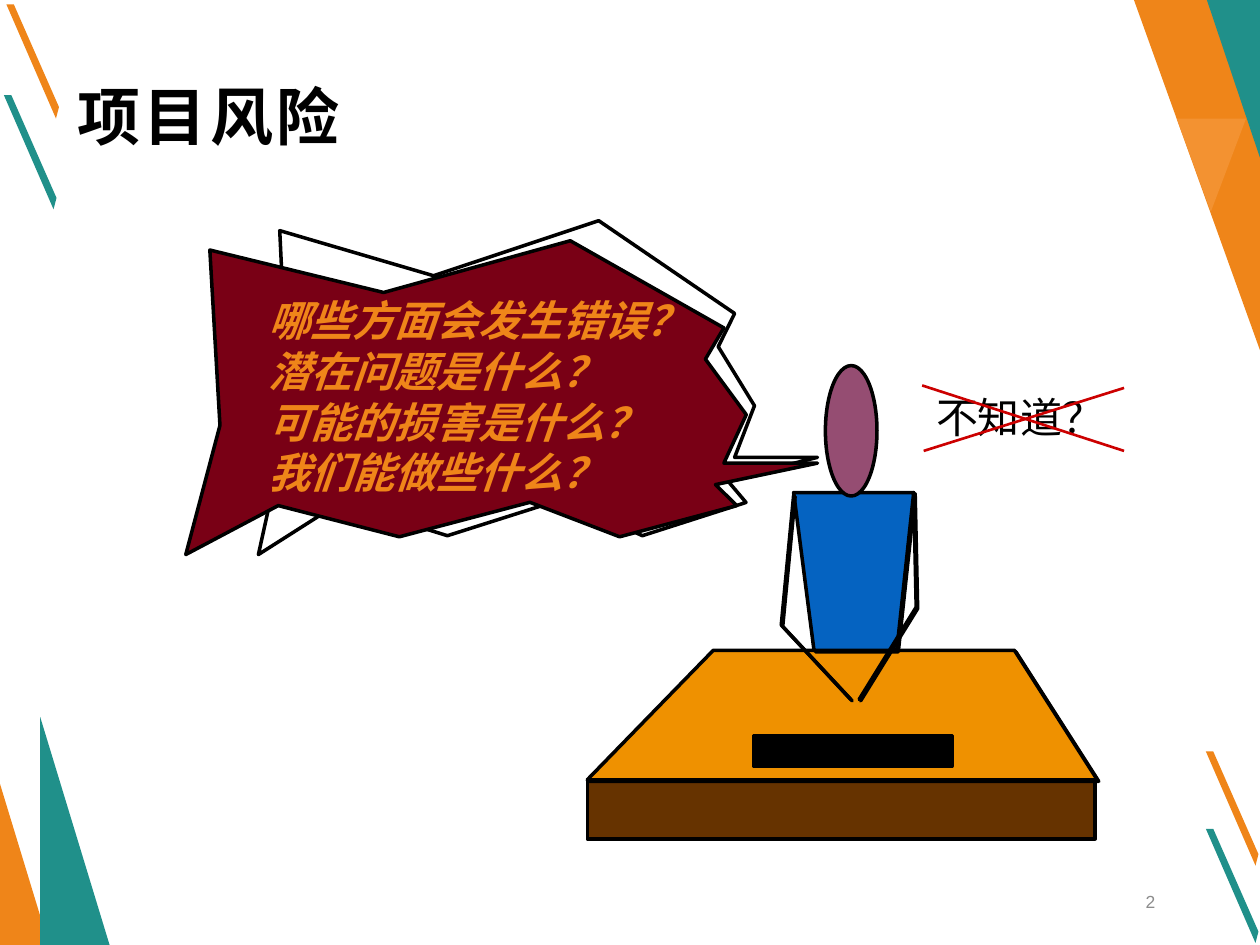
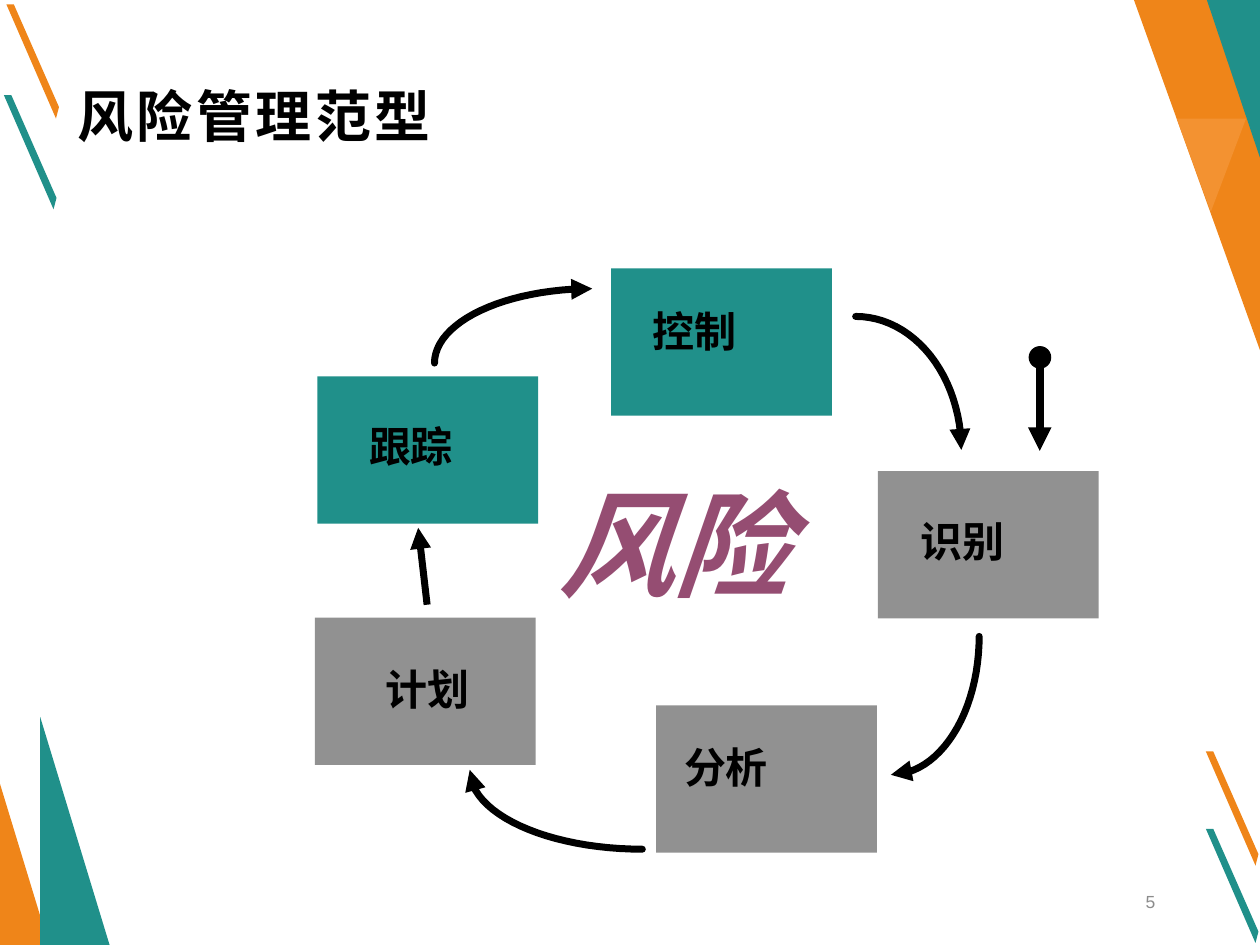
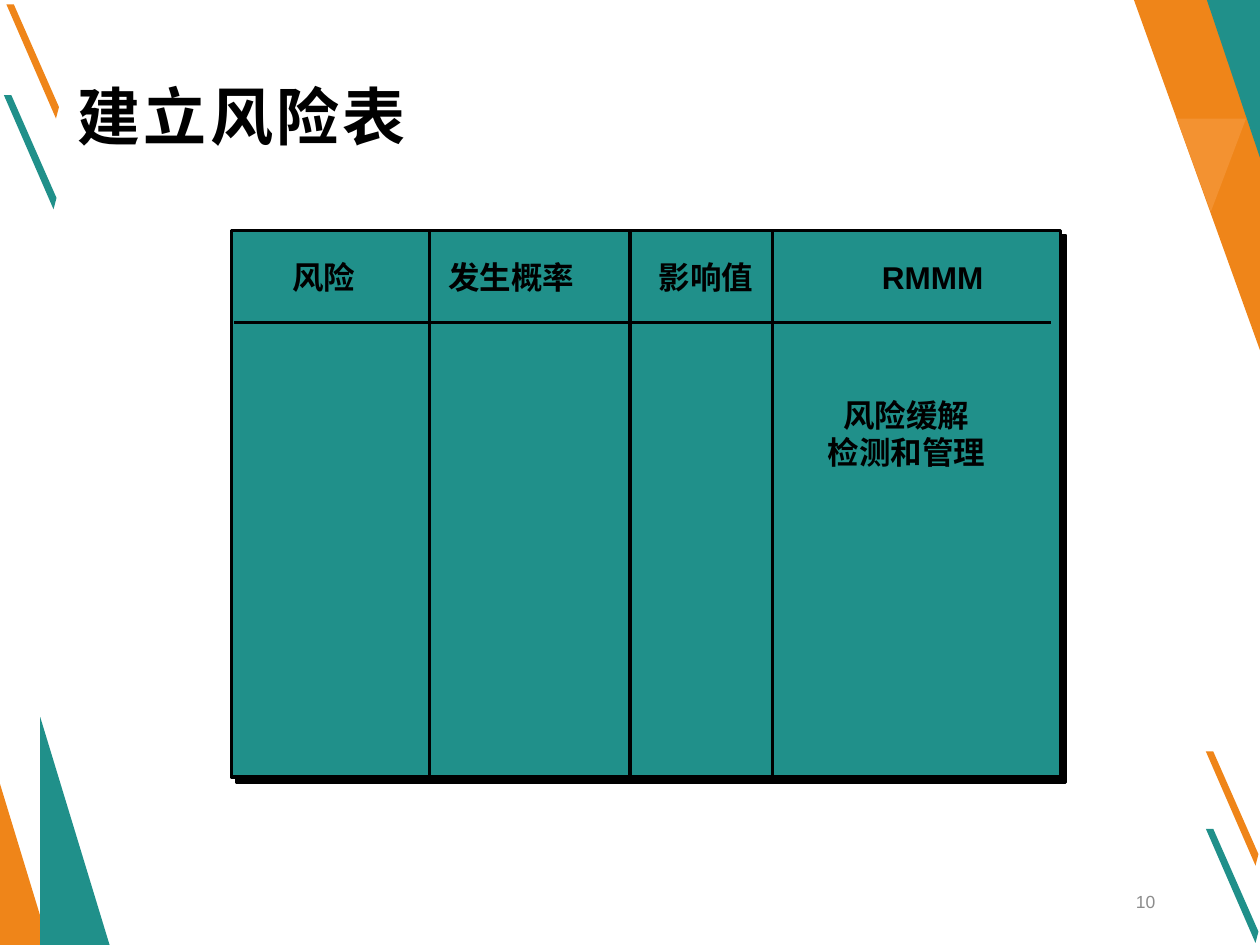
from itertools import chain
from math import cos, pi, sin

from lxml.etree import SubElement
from pptx import Presentation
from pptx.dml.color import RGBColor
from pptx.enum.shapes import MSO_CONNECTOR, MSO_SHAPE
from pptx.enum.text import MSO_ANCHOR, PP_ALIGN
from pptx.oxml.ns import qn
from pptx.util import Cm, Pt

HUES = {
    "orange": "EF8519", "teal": "20908A", "light": "F39231", "black": "000000",
    "wine": "790015", "brown": "663300", "amber": "EF9100", "blue": "0563C1",
    "plum": "954D72", "red": "CC0000", "gray": "919191", "pale": "8C8C8C",
}


def draw(slide, kind, spots, fill=None, line=None, width=2, head=False):
    """Draw a line, an open or closed outline, or a preset (corner, size)."""
    shapes = slide.shapes
    if kind in ("open", "closed"):
        first, *rest = [(Cm(x), Cm(y)) for x, y in spots]
        path = shapes.build_freeform(*first)
        path.add_line_segments(rest, close=kind == "closed")
        shape = path.convert_to_shape()
    else:
        flat = [Cm(v) for v in chain(*spots)]
        if kind == "line":
            shape = shapes.add_connector(MSO_CONNECTOR.STRAIGHT, *flat)
        else:
            shape = shapes.add_shape(kind, *flat)
    if fill:
        shape.fill.solid()
        shape.fill.fore_color.rgb = RGBColor.from_string(HUES[fill])
    elif kind != "line":
        shape.fill.background()
    if line:
        shape.line.color.rgb = RGBColor.from_string(HUES[line])
        shape.line.width = Pt(width)
    else:
        shape.line.fill.background()
    props = shape.element.spPr
    edge = props.find(qn("a:ln"))
    if kind == "open":
        edge.set("cap", "rnd")
    if head:
        SubElement(edge, qn("a:tailEnd"), type="triangle")
    SubElement(props, qn("a:effectLst"))
    return shape


def note(slide, text, x, y, w, h, size, hue="black", bold=True, slant=False,
         align=PP_ALIGN.LEFT, wrap=False, space=1.0):
    box = slide.shapes.add_textbox(Cm(x), Cm(y), Cm(w), Cm(h))
    frame = box.text_frame
    frame.word_wrap = wrap
    frame.text = text
    for para in frame.paragraphs:
        para.alignment = align
        para.line_spacing = space
        para.font.name = "Arial"
        para.font.size = Pt(size)
        para.font.bold = bold
        para.font.italic = slant
        para.font.color.rgb = RGBColor.from_string(HUES[hue])
    return frame


deck = Presentation()
deck.slide_width, deck.slide_height = Cm(25.4), Cm(19.05)
plan = deck.slide_layouts[5]
head = plan.placeholders[0]
head.left, head.top = Cm(1.3), Cm(1.12)
head.width, head.height = Cm(22.8), Cm(2.39)

# Titles and page numbers
pages = []
for title, size, page in (("项目风险", 36, "2"), ("风险管理范型", 32, "5"),
                          ("建立风险表", 36, "10")):
    slide = deck.slides.add_slide(plan)
    pages.append(slide)
    slide.shapes.title.text = title
    para = slide.shapes.title.text_frame.paragraphs[0]
    para.alignment = PP_ALIGN.LEFT
    para.font.name = "Noto Sans CJK SC"
    para.font.size = Pt(size)
    para.font.bold = True
    para.font.color.rgb = RGBColor.from_string(HUES["black"])
    base = para._p.pPr.find(qn("a:defRPr"))
    base.set("spc", "200")
    SubElement(base, qn("a:ea"), typeface="Noto Sans CJK SC")
    frame = note(slide, page, 17.93, 17.63, 5.61, 0.89, 10, "pale", False,
                 align=PP_ALIGN.RIGHT, wrap=True)
    frame.vertical_anchor = MSO_ANCHOR.BOTTOM
risk, cycle, table = pages

# Corner art, moved to the shared layout
art = []
for x, y, hue in ((24.31, 15.15, "orange"), (0.08, 1.92, "teal"),
                  (0.13, 0.09, "orange"), (24.31, 16.71, "teal")):
    slash = [(x + dx, y + dy)
             for dx, dy in ((0, 0), (0.15, 0), (1.06, 2.07), (1, 2.3))]
    art.append(draw(risk, "closed", slash, hue))
for hue, spots in (
    ("orange", ((22.86, 0), (25.4, 0), (25.4, 7.06))),
    ("teal", ((24.33, 0), (25.4, 0), (25.4, 3.18))),
    ("light", ((25.12, 2.39), (24.41, 4.27), (23.72, 2.39))),
):
    art.append(draw(risk, "closed", spots, hue))
for hue, spots in (("orange", ((0, 15.8), (0.99, 3.25))),
                   ("teal", ((0.81, 14.45), (1.4, 4.6)))):
    wedge = draw(risk, MSO_SHAPE.ISOSCELES_TRIANGLE, spots, hue)
    wedge.adjustments[0] = 0
    art.append(wedge)
for n, shape in enumerate(art):
    shape.element.nvSpPr.cNvPr.id = 100 + n
    plan.shapes.element.insert(2 + n, shape.element)

# Slide 1: speech burst, the front one stretched from the back one
burst = [
    (16.48, 9.22), (14.66, 9.68), (15.04, 10.13), (12.95, 10.8),
    (11.35, 10.06), (9.02, 10.8), (6.86, 10.13), (5.21, 11.18),
    (5.82, 8.41), (5.64, 4.65), (8.74, 5.56), (12.07, 4.45),
    (14.81, 6.32), (14.48, 6.99), (15.21, 8.18), (14.81, 9.22),
]
front = [(16.48 - (16.48 - x) * 1.13, 11.18 - (11.18 - y) * 0.94)
         for x, y in burst]
draw(risk, "closed", burst, line="black")
draw(risk, "closed", front, "wine", "black")
for n, text in enumerate(("哪些方面会发生错误？", "潜在问题是什么？",
                          "可能的损害是什么？", "我们能做些什么？")):
    note(risk, text, 5.16, 5.82 + 1.02 * n, 0.85 * len(text) + 0.5, 1.27,
         24, "orange", slant=True)

# Slide 1: speaker at the desk, each outline doubled
draw(risk, MSO_SHAPE.RECTANGLE, ((11.84, 15.72), (10.24, 1.19)),
     "brown", "black")
for kind, hue, spots in (
    ("closed", "amber",
     ((11.84, 15.72), (14.38, 13.11), (20.45, 13.11), (22.12, 15.72))),
    ("closed", "blue",
     ((16.41, 13.11), (16, 9.93), (18.42, 9.93), (18.08, 13.11))),
    ("open", None, ((16, 9.98), (15.75, 12.6), (17.15, 14.1))),
    ("open", None, ((18.42, 9.93), (18.47, 12.24), (17.32, 14.1))),
):
    draw(risk, kind, [(x + 0.03, y + 0.03) for x, y in spots], line="black")
    draw(risk, kind, spots, hue, "black")
draw(risk, MSO_SHAPE.OVAL, ((16.64, 7.37), (1.04, 2.63)), "plum", "black")
draw(risk, MSO_SHAPE.RECTANGLE, ((15.19, 14.83), (4.01, 0.61)),
     "black", "black")

# Slide 1: crossed-out answer
note(risk, "不知道？", 18.62, 7.77, 3.89, 1.27, 24, bold=False)
for spots in (((18.59, 7.77), (22.66, 9.09)), ((18.62, 9.09), (22.66, 7.82))):
    draw(risk, "line", spots, line="red", width=1.5)

# Slide 2: steps with their labels
note(cycle, "风险", 11, 9.73, 6.55, 2.79, 66, "plum", slant=True, wrap=True,
     space=0.9)
for text, hue, x, y, dx, dy in (
    ("识别", "gray", 17.7, 9.5, 0.61, 0.89),
    ("控制", "teal", 12.32, 5.41, 0.58, 0.74),
    ("跟踪", "teal", 6.4, 7.59, 0.79, 0.87),
    ("计划", "gray", 6.35, 12.45, 1.17, 0.91),
    ("分析", "gray", 13.23, 14.22, 0.31, 0.72),
):
    draw(cycle, MSO_SHAPE.RECTANGLE, ((x, y), (4.45, 2.97)), hue)
    note(cycle, text, x + dx, y + dy, 2.21, 1.17, 24, space=0.9)

# Slide 2: quarter-ellipse arrows, leaving level or upright
turns = [n * pi / 48 for n in range(25)]
for level, x, y, w, h in (
    (True, 17.25, 6.38, 2.13, 2.69), (False, 19.74, 12.83, -1.78, 2.79),
    (True, 12.95, 17.12, -3.48, -1.6), (False, 8.76, 7.32, 3.18, -1.5),
):
    if level:
        arc = [(x + w * sin(t), y + h * (1 - cos(t))) for t in turns]
    else:
        arc = [(x + w * (1 - cos(t)), y + h * sin(t)) for t in turns]
    draw(cycle, "open", arc, line="black", width=4, head=True)
for width, spots in ((4, ((8.61, 12.19), (8.43, 10.64))),
                     (4.5, ((20.96, 7.19), (20.96, 9.09)))):
    draw(cycle, "line", spots, line="black", width=width, head=True)
draw(cycle, MSO_SHAPE.OVAL, ((20.75, 6.99), (0.43, 0.43)), "black", "black",
     0.75)

# Slide 3: panel with a hard shadow, and its rules
panel = draw(table, MSO_SHAPE.RECTANGLE, ((4.67, 4.65), (16.71, 11.02)),
             "teal", "black")
shade = SubElement(panel.element.spPr.find(qn("a:effectLst")),
                   qn("a:outerShdw"), blurRad="0", dist=str(Pt(4.2)),
                   dir="2700000", algn="ctr", rotWithShape="0")
SubElement(shade, qn("a:srgbClr"), val=HUES["black"])
for x in (8.66, 12.7, 15.57):
    draw(table, "line", ((x, 4.67), (x, 15.67)), line="black")
draw(table, "line", ((4.72, 6.5), (21.18, 6.5)), line="black")

# Slide 3: column heads and the note
for text, x, w in (("风险", 5.64, 1.93), ("发生概率", 8.79, 3.05),
                   ("影响值", 13.03, 2.41), ("RMMM", 17.53, 2.8)):
    note(table, text, x, 5.08, w, 1.02, 18, wrap=len(text) != 3)
note(table, "风险缓解\n检测和管理", 16.43, 7.85, 3.68, 1.78, 18,
     align=PP_ALIGN.CENTER)

deck.save("out.pptx")
